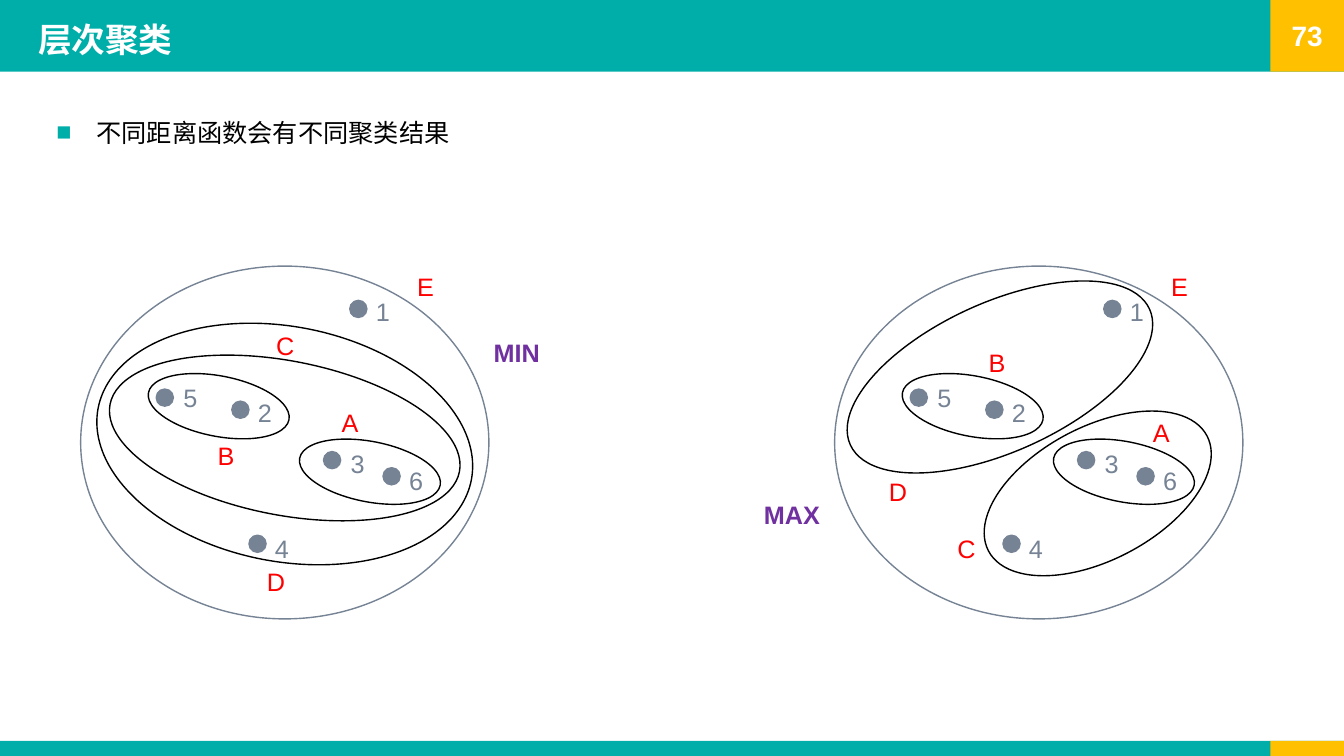
import pptx
import pptx.dml.color
import pptx.enum.shapes
import pptx.enum.text
import pptx.oxml.ns
import pptx.util
from lxml import etree

# Grid: ten columns or rows to the inch
COLUMNS, ROWS = 133.33, 75
CELL = pptx.util.Inches(0.1)
TEAL, GOLD, GREY = "00AEA9", "FFC000", "768395"
BLACK, WHITE, RED, PURPLE = "000000", "FFFFFF", "FF0000", "7030A0"
LATIN, CHINESE = "Arial", "Noto Sans CJK SC"
SHAPES = pptx.enum.shapes.MSO_SHAPE
ANCHOR = pptx.enum.text.MSO_ANCHOR

# Each panel repeats the points: name, dot column and row, label column and row
PANEL_STEP = 74.8
DOT = 1.7
POINTS = [
    ("3", 32.1, 44.8, 33.8, 44.0),
    ("6", 38.0, 46.4, 39.6, 45.7),
    ("5", 15.5, 38.6, 17.2, 37.4),
    ("2", 23.0, 39.8, 24.6, 38.9),
    ("1", 34.7, 29.8, 36.3, 28.9),
    ("4", 24.7, 53.1, 26.3, 52.4),
]
# Clusters shared by both panels: column, row, width, height, turn, colour
SHARED_CLUSTERS = [
    (29.6, 43.8, 14.2, 6, 10.9, BLACK),
    (14.6, 37.3, 14.2, 6, 10.9, BLACK),
    (8, 26.4, 40.5, 35, 0, GREY),
]
# Own clusters and labels, measured from the left edge of the slide
MIN_CLUSTERS = [
    (10.6, 35.8, 35.3, 15.3, 10.9, BLACK),
    (9.4, 32.4, 37.7, 23.3, 10.9, BLACK),
]
MAX_CLUSTERS = [
    (102.3, 36.7, 13.2, 24.5, 62.2, BLACK),
    (82.9, 30, 32.6, 14.8, 335.6, BLACK),
]
MIN_LABELS = [("A", 32.9, 39.9), ("B", 20.6, 43.2), ("C", 26.4, 32.3),
              ("D", 25.5, 55.7), ("E", 40.4, 26.4)]
MAX_LABELS = [("A", 113.4, 40.9), ("B", 97.1, 34), ("C", 94, 52.4),
              ("D", 87.2, 46.8), ("E", 115.2, 26.4)]


def grid(*cells):
    return [round(cell * CELL) for cell in cells]


def colour(value):
    return pptx.dml.color.RGBColor.from_string(value)


def format_text(para, size, tint, bold=False, font=LATIN):
    for span in para.runs:
        span.font.size = pptx.util.Pt(size)
        span.font.name = font
        span.font.bold = bold
        span.font.color.rgb = colour(tint)
        east_asian = etree.SubElement(span.font._element, pptx.oxml.ns.qn("a:ea"))
        east_asian.set("typeface", font)


def add_shape(page, kind, place, fill=None, line=None, turn=0):
    shape = page.shapes.add_shape(kind, *grid(*place))
    shape.shadow.inherit = False
    shape.rotation = turn
    if fill:
        shape.fill.solid()
        shape.fill.fore_color.rgb = colour(fill)
    else:
        shape.fill.background()
    if line:
        shape.line.color.rgb = colour(line)
        shape.line.width = pptx.util.Pt(1)
    else:
        shape.line.fill.background()
    return shape


def add_text(page, text, place, size, tint, bold=False, font=LATIN, wrap=True):
    box = page.shapes.add_textbox(*grid(*place))
    frame = box.text_frame
    frame.text = text
    frame.word_wrap = wrap
    if not wrap:
        frame.auto_size = pptx.enum.text.MSO_AUTO_SIZE.SHAPE_TO_FIT_TEXT
    format_text(frame.paragraphs[0], size, tint, bold, font)
    return frame


def add_label(page, text, column, row, width, tint, bold=False):
    add_text(page, text, (column, row, width, 4), 18, tint, bold, wrap=False)


def add_bullet(para, sign, tint, indent):
    properties = para._p.get_or_add_pPr()
    properties.set("marL", str(indent))
    properties.set("indent", str(-indent))
    bullet_colour = etree.SubElement(properties, pptx.oxml.ns.qn("a:buClr"))
    etree.SubElement(bullet_colour, pptx.oxml.ns.qn("a:srgbClr")).set("val", tint)
    etree.SubElement(properties, pptx.oxml.ns.qn("a:buFont")).set("typeface", LATIN)
    etree.SubElement(properties, pptx.oxml.ns.qn("a:buChar")).set("char", sign)


def add_frame(page):
    side, header, footer = 7.3, 7.1, 1.5
    for top, height in ((0, header), (ROWS - footer, footer)):
        add_shape(page, SHAPES.RECTANGLE, (0, top, COLUMNS, height), TEAL)
        corner = add_shape(page, SHAPES.RECTANGLE,
                           (COLUMNS - side, top, side, height), GOLD)
        if top == 0:
            frame = corner.text_frame
            frame.text = "73"
            frame.vertical_anchor = ANCHOR.MIDDLE
            frame.paragraphs[0].alignment = pptx.enum.text.PP_ALIGN.CENTER
            format_text(frame.paragraphs[0], 20, WHITE, bold=True)


def add_panel(page, shift, clusters, labels):
    for name, dot_column, dot_row, column, row in POINTS:
        add_shape(page, SHAPES.OVAL, (dot_column + shift, dot_row, DOT, DOT), GREY, GREY)
        add_label(page, name, column + shift, row, 3.4, GREY)
    shared = [(column + shift, *rest) for column, *rest in SHARED_CLUSTERS]
    for *place, turn, line in shared + clusters:
        add_shape(page, SHAPES.OVAL, place, line=line, turn=turn)
    for name, column, row in labels:
        add_label(page, name, column, row, 3.7, RED)


def main():
    deck = pptx.Presentation()
    deck.slide_width, deck.slide_height = grid(COLUMNS, ROWS)
    page = deck.slides.add_slide(deck.slide_layouts[6])

    # Header, footer and title
    add_frame(page)
    title = add_text(page, "层次聚类", (2.8, 0.6, 120, 5.8), 24, WHITE, True, CHINESE)
    title.vertical_anchor = ANCHOR.BOTTOM
    title.paragraphs[0].line_spacing = 0.9

    # Statement
    body = add_text(page, "不同距离函数会有不同聚类结果", (4.6, 9.6, 121.5, 57.8),
                    18, BLACK, font=CHINESE)
    body.paragraphs[0].line_spacing = 1.5
    add_bullet(body.paragraphs[0], "■", TEAL, 4 * CELL)

    # Clusterings by the two distances
    add_panel(page, 0, MIN_CLUSTERS, MIN_LABELS)
    add_label(page, "MIN", 48, 33, 6.6, PURPLE, bold=True)
    add_panel(page, PANEL_STEP, MAX_CLUSTERS, MAX_LABELS)
    add_label(page, "MAX", 74.8, 49, 7.6, PURPLE, bold=True)

    deck.save("out.pptx")


if __name__ == "__main__":
    main()
